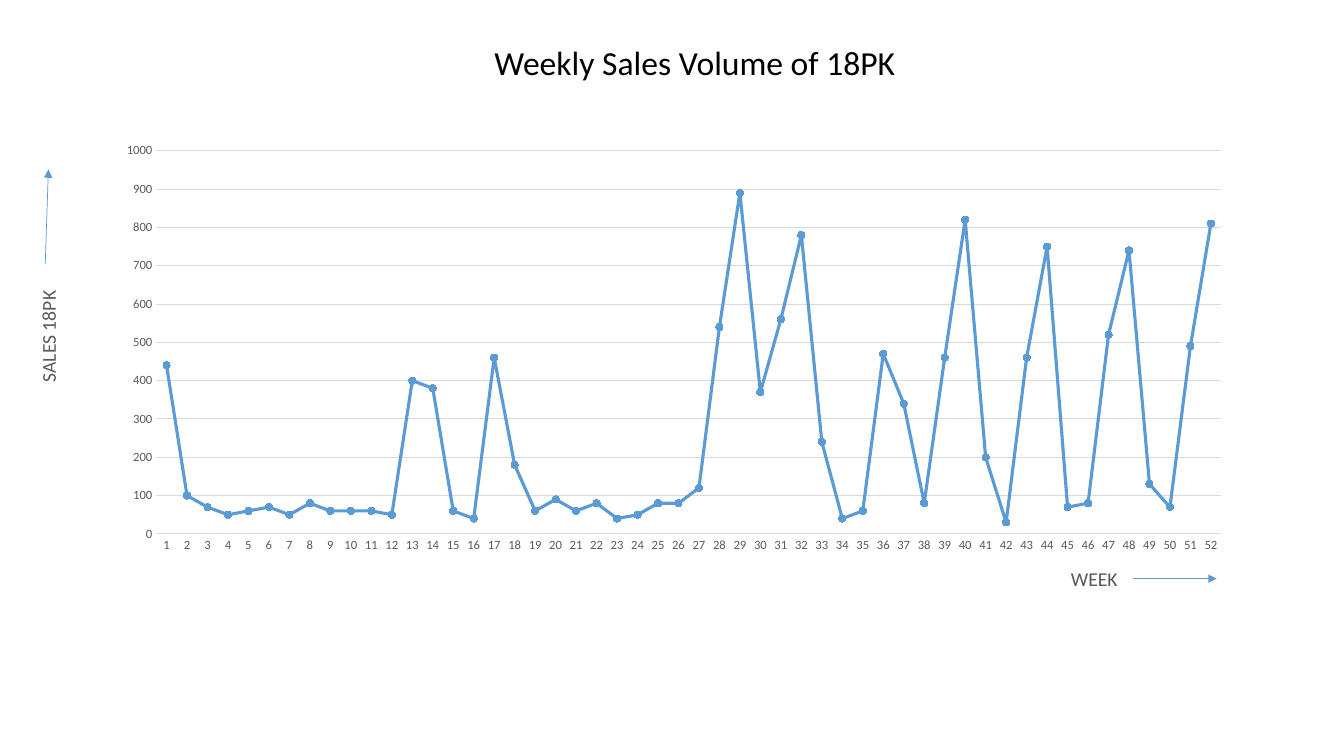
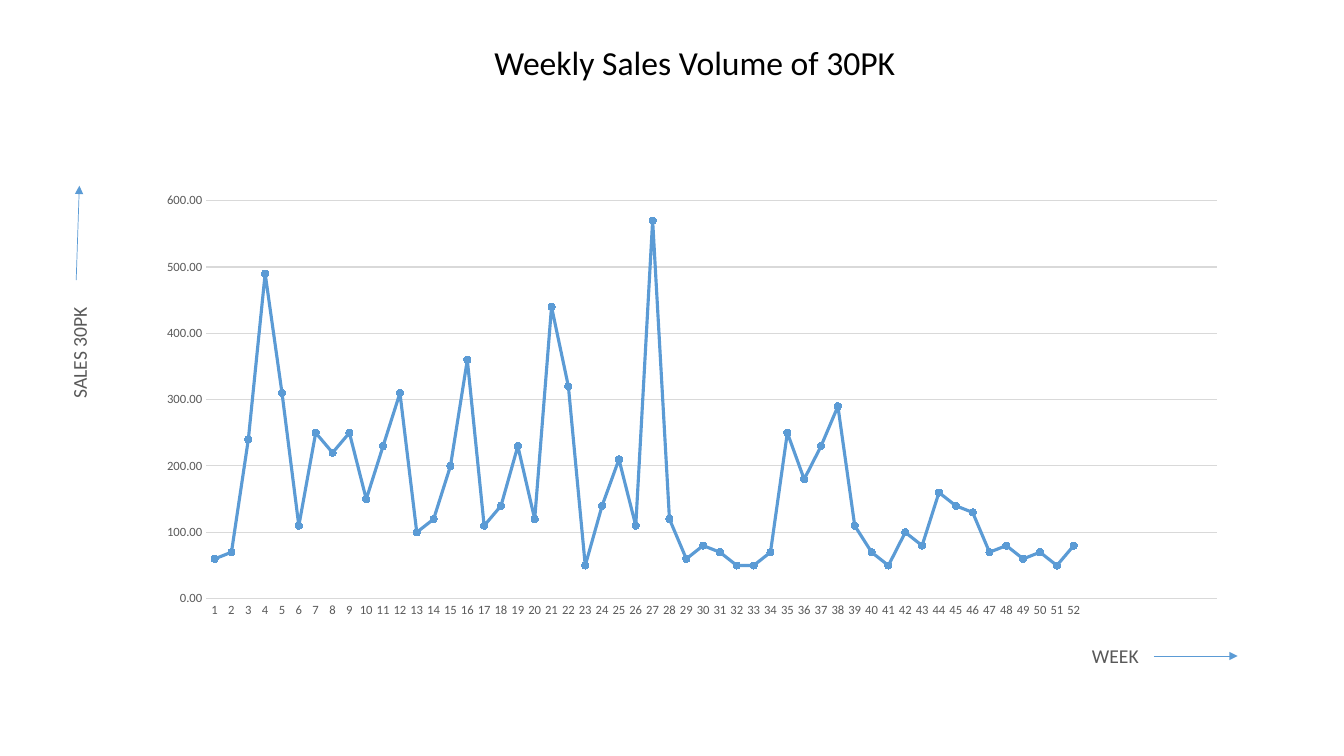
from lxml import etree
from pptx import Presentation
from pptx.chart.data import CategoryChartData
from pptx.dml.color import RGBColor
from pptx.enum.chart import XL_CHART_TYPE, XL_MARKER_STYLE, XL_TICK_MARK
from pptx.enum.shapes import MSO_CONNECTOR
from pptx.enum.text import MSO_AUTO_SIZE, PP_ALIGN
from pptx.oxml.ns import qn
from pptx.util import Cm, Pt

LINE_MARKERS = XL_CHART_TYPE.LINE_MARKERS
CIRCLE = XL_MARKER_STYLE.CIRCLE
NO_TICK = XL_TICK_MARK.NONE
STRAIGHT = MSO_CONNECTOR.STRAIGHT
GROW = MSO_AUTO_SIZE.SHAPE_TO_FIT_TEXT
CENTER = PP_ALIGN.CENTER

FONT = "Calibri"
COLORS = {"title": "000000", "label": "595959", "grid": "D9D9D9", "sales": "5B9BD5"}
WEEKS = 52

SALES_18PK = [
    440, 100, 70, 50, 60, 70, 50, 80, 60, 60, 60, 50, 400,
    380, 60, 40, 460, 180, 60, 90, 60, 80, 40, 50, 80, 80,
    120, 540, 890, 370, 560, 780, 240, 40, 60, 470, 340, 80, 460,
    820, 200, 30, 460, 750, 70, 80, 520, 740, 130, 70, 490, 810,
]
SALES_30PK = [
    60, 70, 240, 490, 310, 110, 250, 220, 250, 150, 230, 310, 100,
    120, 200, 360, 110, 140, 230, 120, 440, 320, 50, 140, 210, 110,
    570, 120, 60, 80, 70, 50, 50, 70, 250, 180, 230, 290, 110,
    70, 50, 100, 80, 160, 140, 130, 70, 80, 60, 70, 50, 80,
]


def rgb(name):
    return RGBColor.from_string(COLORS[name])


class Deck:
    """Holds the shared style and the current slide."""

    def __init__(self):
        self.prs = Presentation()
        self.prs.slide_width, self.prs.slide_height = Cm(33.87), Cm(19.05)
        self.s = None

    def new_slide(self, title):
        self.s = self.prs.slides.add_slide(self.prs.slide_layouts[6])
        self.text(title, 9.09, 0.94, 16.84, 1.27, 24, "title", wrap=True)

    def style_font(self, font, size, color):
        font.name, font.size = FONT, Pt(size)
        font.color.rgb = rgb(color)

    def style_line(self, line, color, width):
        line.color.rgb = rgb(color)
        line.width = Pt(width)

    def text(self, text, x, y, w, h, size, color, wrap=False, rotation=0):
        sp = self.s.shapes.add_textbox(Cm(x), Cm(y), Cm(w), Cm(h))
        sp.rotation = rotation
        tf = sp.text_frame
        tf.word_wrap, tf.auto_size = wrap, GROW
        p = tf.paragraphs[0]
        p.text, p.alignment = text, CENTER
        self.style_font(p.font, size, color)

    def arrow(self, x1, y1, x2, y2):
        cxn = self.s.shapes.add_connector(STRAIGHT, Cm(x1), Cm(y1), Cm(x2), Cm(y2))
        self.style_line(cxn.line, "sales", 0.5)
        ln = cxn.line._get_or_add_ln()
        etree.SubElement(ln, qn("a:tailEnd"), type="triangle")
        etree.SubElement(cxn._element.spPr, qn("a:effectLst"))

    def week_label(self, x, y):
        """Label of the horizontal axis, with an arrow to its right."""
        self.text("WEEK ", x, y, 1.83, 0.86, 14, "label")
        self.arrow(x + 1.83, y + 0.43, x + 3.94, y + 0.43)

    def sales_label(self, text, x, y):
        """Turned label of the vertical axis, with an arrow above it."""
        self.text(text, x, y, 2.84, 0.86, 14, "label", rotation=270)
        self.arrow(x + 1.34, y - 1.4, x + 1.42, y - 3.78)

    def sales_chart(self, sales, x, y, w, h, top, number_format, spare=0):
        """Line chart by week; spare adds unlabelled slots at the right."""
        data = CategoryChartData()
        data.categories = [str(week) for week in range(1, WEEKS + 1)] + [""] * spare
        data.add_series("Series 1", sales + [None] * spare)
        chart = self.s.shapes.add_chart(
            LINE_MARKERS, Cm(x), Cm(y), Cm(w), Cm(h), data).chart
        chart.has_legend = chart.has_title = False
        self.style_font(chart.font, 10, "title")

        # Axes
        cat_axis, val_axis = chart.category_axis, chart.value_axis
        for axis in (cat_axis, val_axis):
            axis.major_tick_mark = axis.minor_tick_mark = NO_TICK
            self.style_font(axis.tick_labels.font, 9, "label")
        self.style_line(cat_axis.format.line, "grid", 0.75)
        val_axis.format.line.fill.background()
        val_axis.minimum_scale, val_axis.maximum_scale = 0, top
        val_axis.major_unit = 100
        val_axis.has_major_gridlines = True
        self.style_line(val_axis.major_gridlines.format.line, "grid", 0.75)
        val_axis.tick_labels.number_format = number_format
        val_axis.tick_labels.number_format_is_linked = False

        # Series
        plot = chart.plots[0]
        plot.vary_by_categories = False
        series = plot.series[0]
        series.smooth = False
        self.style_line(series.format.line, "sales", 2.25)
        marker = series.marker
        marker.style, marker.size = CIRCLE, 5
        marker.format.fill.solid()
        marker.format.fill.fore_color.rgb = rgb("sales")
        self.style_line(marker.format.line, "sales", 0.75)


def main():
    deck = Deck()

    # 18PK
    deck.new_slide("Weekly Sales Volume of 18PK")
    deck.sales_chart(SALES_18PK, 2.62, 3.4, 28.73, 10.74, 1000, "General")
    deck.week_label(26.72, 14.15)
    deck.sales_label("SALES 18PK", -0.2, 8.05)

    # 30PK
    deck.new_slide("Weekly Sales Volume of 30PK")
    deck.sales_chart(SALES_30PK, 3.66, 4.65, 27.56, 11.13, 600, "0.00", spare=8)
    deck.sales_label("SALES 30PK", 0.58, 8.46)
    deck.week_label(27.25, 16.1)

    deck.prs.save("out.pptx")


if __name__ == "__main__":
    main()
